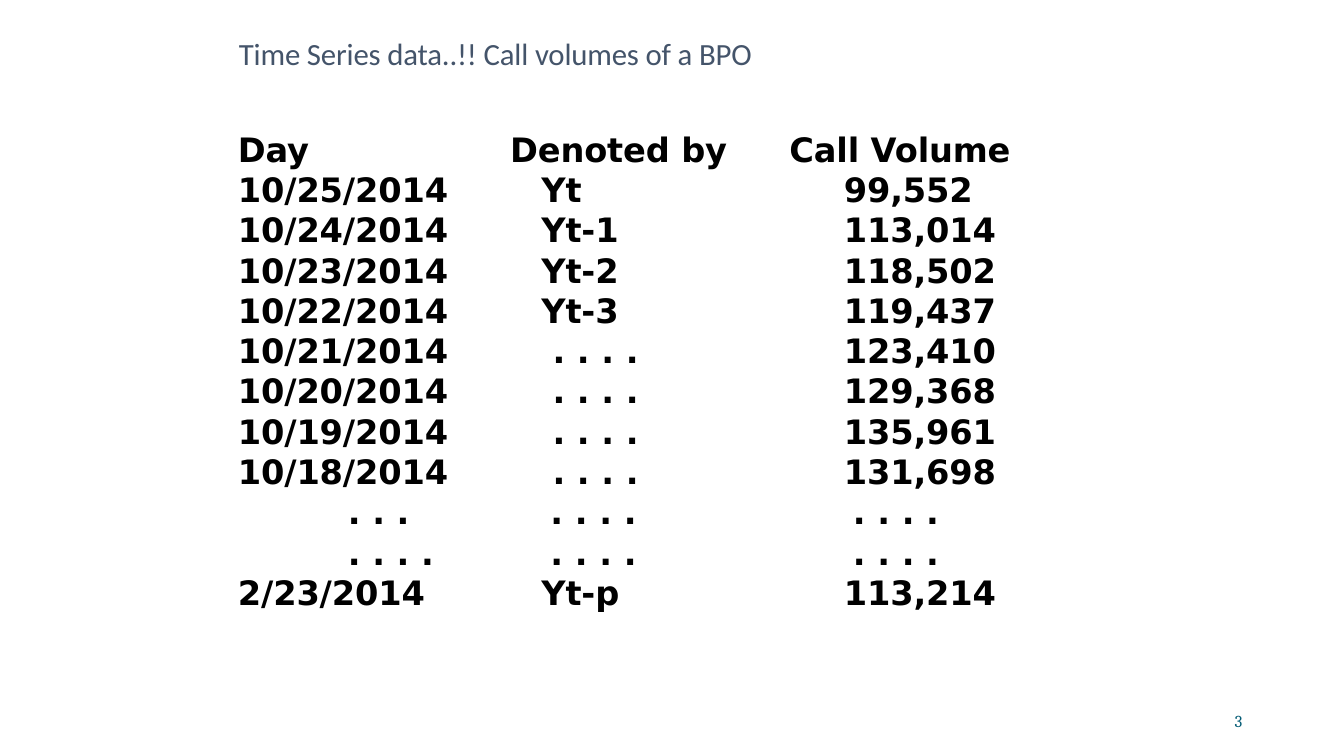
from pptx import Presentation
from pptx.dml.color import RGBColor
from pptx.enum.text import MSO_ANCHOR, MSO_AUTO_SIZE, PP_ALIGN
from pptx.util import Inches, Pt

TOP, MIDDLE = MSO_ANCHOR.TOP, MSO_ANCHOR.MIDDLE
LEFT, RIGHT = PP_ALIGN.LEFT, PP_ALIGN.RIGHT
GROW = MSO_AUTO_SIZE.SHAPE_TO_FIT_TEXT

TITLE_FONT = {"name": "Calibri", "size": Pt(22), "bold": False}
CELL_FONT = {"name": "DejaVu Sans", "size": Pt(24), "bold": True}
NUMBER_FONT = {"name": "Cambria", "size": Pt(12), "bold": False}

DOTS = ". . . ."
ROWS = [
    ("Day", "Denoted by", "Call Volume"),
    ("10/25/2014", "Yt", "99,552"),
    ("10/24/2014", "Yt-1", "113,014"),
    ("10/23/2014", "Yt-2", "118,502"),
    ("10/22/2014", "Yt-3", "119,437"),
    ("10/21/2014", DOTS, "123,410"),
    ("10/20/2014", DOTS, "129,368"),
    ("10/19/2014", DOTS, "135,961"),
    ("10/18/2014", DOTS, "131,698"),
    (". . .", DOTS, DOTS),
    (DOTS, DOTS, DOTS),
    ("2/23/2014", "Yt-p", "113,214"),
]
COLUMN_WIDTHS = (2.56, 2.62, 2.57)
ROW_HEIGHT = 0.4
HEADER_INDENTS = (0.03, 0.17, 0.32)
VALUE_INDENTS = (0.03, 0.48, 0.86)
MIXED_INDENTS = (0.03, 0.59, 0.86)
DOTS_INDENTS = (1.12, 0.57, 0.95)


def rgb(color):
    return RGBColor.from_string(color)


def set_format(target, values):
    for name, value in values.items():
        setattr(target, name, value)


def write(tf, text, font, color, align=LEFT, indent=0, spacing=0):
    p = tf.paragraphs[0]
    p.alignment = align
    pPr = p._p.get_or_add_pPr()
    pPr.set("marL", str(Inches(indent)))
    pPr.set("indent", "0")
    r = p.add_run()
    r.text = text
    set_format(r.font, font)
    r.font.color.rgb = rgb(color)
    r._r.get_or_add_rPr().set("spc", str(spacing))
    return p


def add_title(s, text):
    sp = s.shapes.title
    set_format(sp, {"left": Inches(2.36), "top": Inches(0.33),
                    "width": Inches(6.18), "height": Inches(0.39)})
    tf = sp.text_frame
    set_format(tf, {"margin_left": 0, "margin_right": 0, "margin_bottom": 0,
                    "margin_top": Inches(0.01), "word_wrap": True,
                    "vertical_anchor": TOP, "auto_size": GROW})
    p = write(tf, text, TITLE_FONT, "44546A", indent=0.01, spacing=-10)
    set_format(p, {"space_before": Pt(0.9), "line_spacing": 1.0})


def row_indents(index, row):
    if index == 0:
        return HEADER_INDENTS
    if row[2] == DOTS:
        return DOTS_INDENTS
    return MIXED_INDENTS if row[1] == DOTS else VALUE_INDENTS


def fill_cell(cell, text, indent):
    set_format(cell, {"margin_left": 0, "margin_right": 0,
                      "margin_top": 0, "margin_bottom": 0,
                      "vertical_anchor": TOP})
    cell.fill.background()
    spacing = 0 if text.startswith(".") else -10
    p = write(cell.text_frame, text, CELL_FONT, "000000",
              indent=indent, spacing=spacing)
    p.line_spacing = Pt(27.8)


def add_call_table(s):
    table = s.shapes.add_table(
        len(ROWS), len(COLUMN_WIDTHS), Inches(2.33), Inches(1.3),
        Inches(sum(COLUMN_WIDTHS)), Inches(ROW_HEIGHT * len(ROWS))).table
    set_format(table, {"first_row": False, "horz_banding": False})
    for column, width in zip(table.columns, COLUMN_WIDTHS):
        column.width = Inches(width)
    for i, row in enumerate(ROWS):
        table.rows[i].height = Inches(ROW_HEIGHT)
        for j, indent in enumerate(row_indents(i, row)):
            fill_cell(table.cell(i, j), row[j], indent)


def add_page_number(s, text):
    sp = s.shapes.add_textbox(Inches(9.42), Inches(6.95), Inches(3), Inches(0.4))
    tf = sp.text_frame
    set_format(tf, {"word_wrap": True, "vertical_anchor": MIDDLE})
    write(tf, text, NUMBER_FONT, "045C75", align=RIGHT)


def main():
    prs = Presentation()
    set_format(prs, {"slide_width": Inches(13.33), "slide_height": Inches(7.5)})
    s = prs.slides.add_slide(prs.slide_layouts[5])
    add_title(s, "Time Series data..!! Call volumes of a BPO")
    add_call_table(s)
    add_page_number(s, "3")
    prs.save("out.pptx")


if __name__ == "__main__":
    main()
